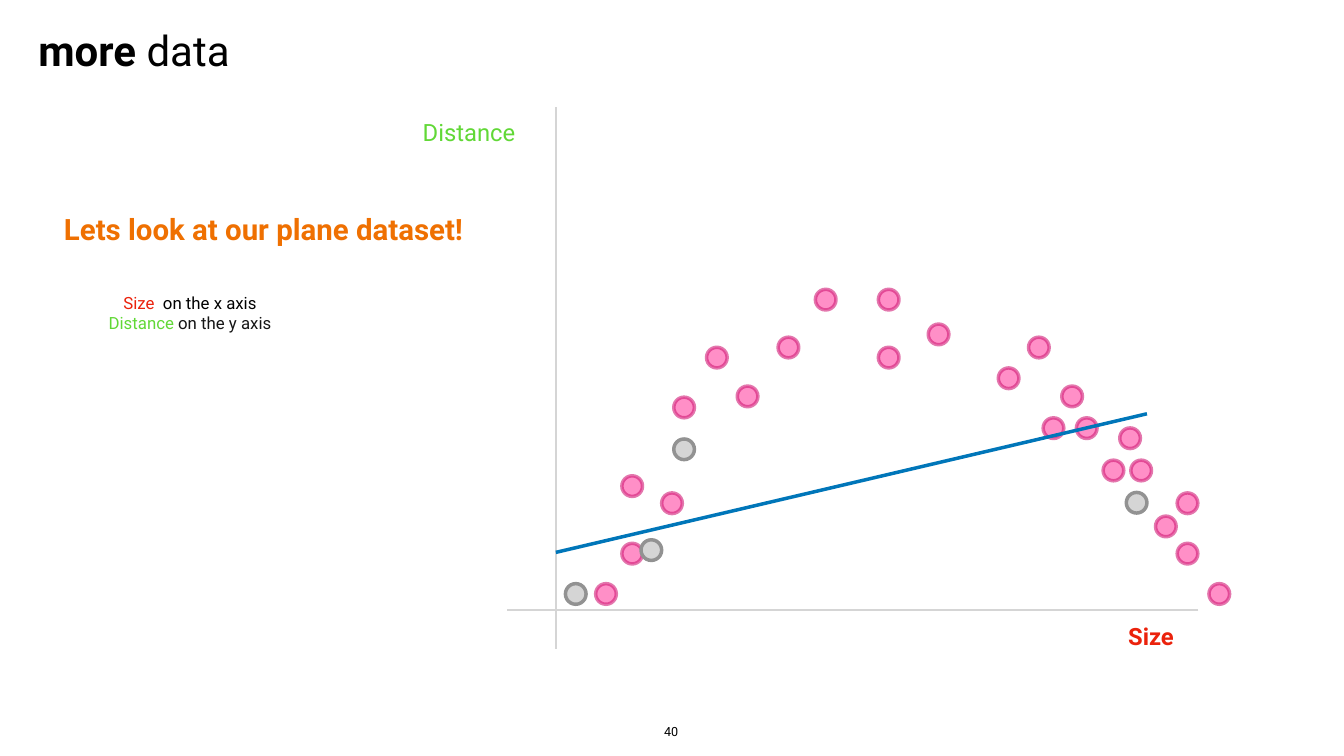
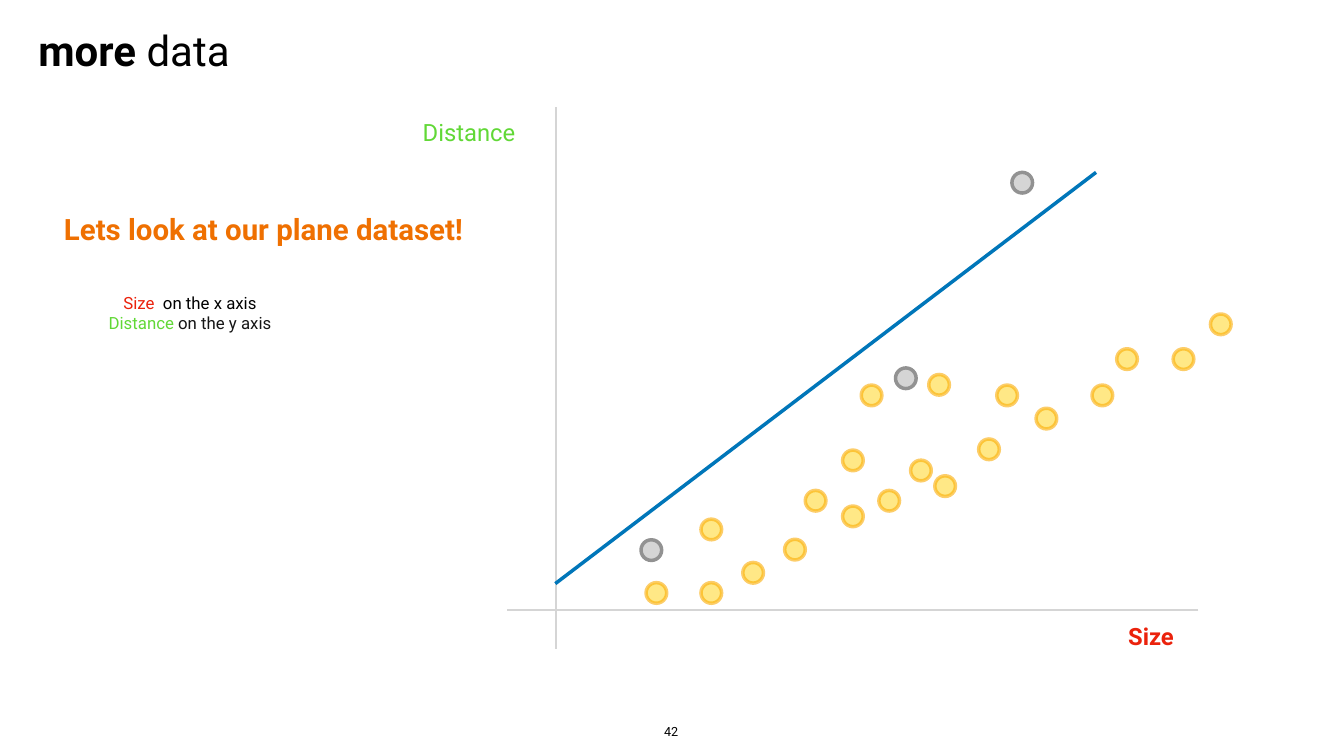
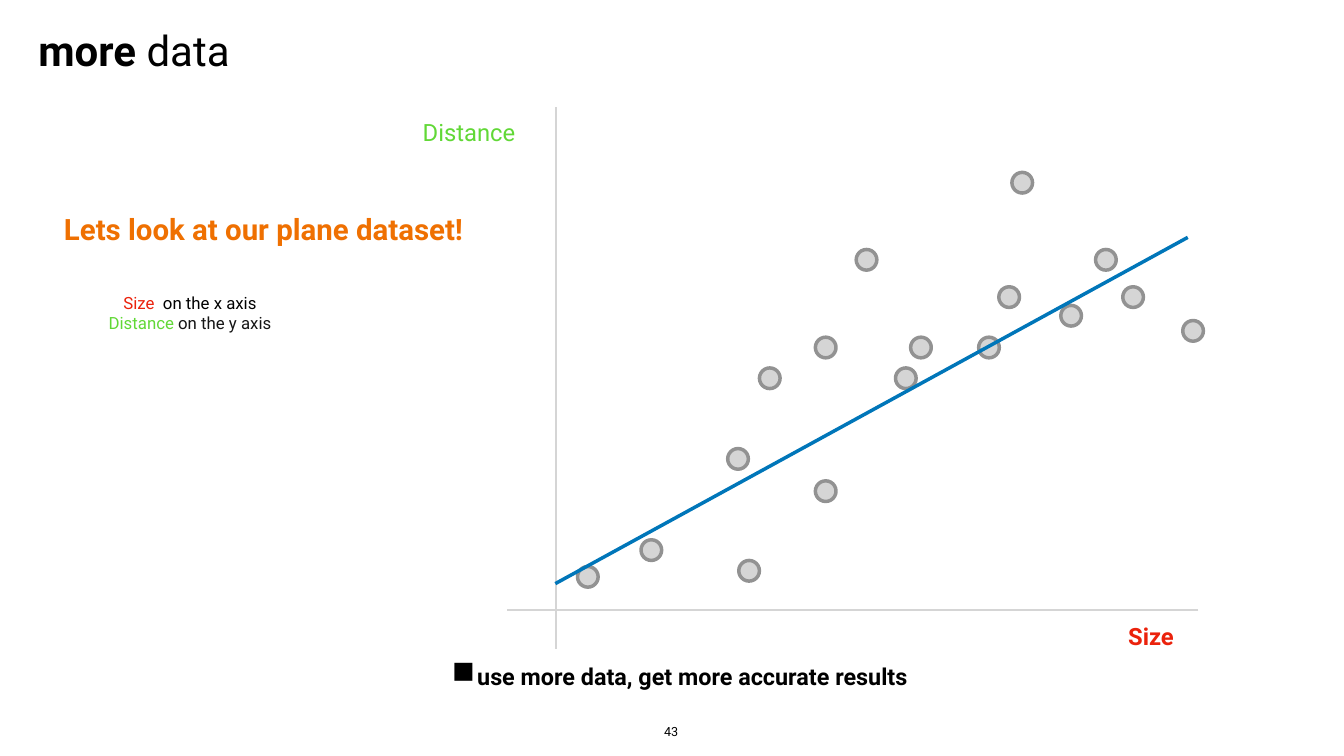
"""Build three slides that fit a line to plane size against distance."""
from lxml import etree
from pptx import Presentation
from pptx import util as u
from pptx.dml.color import RGBColor
from pptx.enum import shapes, text
from pptx.oxml.ns import qn

BLACK, INK, RED, GREEN = "000000", "151515", "EB220C", "61D836"
ORANGE, BLUE, AXIS_GREY = "EF7001", "0076B9", "D5D5D5"
GREY_DOT = (AXIS_GREY, "929292", 100)
PINK_DOT = ("FF42A1", "D11875", 59)
YELLOW_DOT = ("FFD932", "FBAB01", 59)
FONT = "Roboto"
DOT_SIZE = 0.41
LEFT, CENTER = text.PP_ALIGN.LEFT, text.PP_ALIGN.CENTER
TOP, MIDDLE, BOTTOM = text.MSO_ANCHOR.TOP, text.MSO_ANCHOR.MIDDLE, text.MSO_ANCHOR.BOTTOM


def rgb(value):
    return RGBColor.from_string(value)


class Deck:
    def __init__(self):
        self.prs = Presentation()
        self.prs.slide_width, self.prs.slide_height = u.Inches(26.67), u.Inches(15)
        self.slide = None

    def new_slide(self):
        self.slide = self.prs.slides.add_slide(self.prs.slide_layouts[5])
        background = self.slide.background.fill
        background.solid()
        background.fore_color.rgb = rgb("FFFFFF")

    def fill_text(self, frame, paragraphs, size, align=CENTER, anchor=TOP,
                  margin=0.1, wrap=True, bullet=None, spacing=None):
        frame.auto_size = text.MSO_AUTO_SIZE.NONE
        frame.word_wrap, frame.vertical_anchor = wrap, anchor
        frame.margin_left = frame.margin_right = u.Inches(margin)
        frame.margin_top = frame.margin_bottom = u.Inches(margin)
        for i, pieces in enumerate(paragraphs):
            paragraph = frame.add_paragraph() if i else frame.paragraphs[0]
            if bullet:
                self.add_bullet(paragraph, bullet)
            paragraph.alignment = align
            if spacing:
                paragraph.line_spacing = spacing
            for words, color, bold in pieces:
                run = paragraph.add_run()
                run.text = words
                run.font.name, run.font.size = FONT, u.Pt(size)
                run.font.bold, run.font.color.rgb = bold, rgb(color)

    def add_bullet(self, paragraph, symbol):
        properties = paragraph._p.get_or_add_pPr()
        properties.set("marL", str(u.Inches(0.5)))
        properties.set("indent", str(-u.Inches(0.5)))
        color = etree.SubElement(properties, qn("a:buClr"))
        etree.SubElement(color, qn("a:srgbClr"), val=BLACK)
        etree.SubElement(properties, qn("a:buSzPct"), val="133000")
        etree.SubElement(properties, qn("a:buChar"), char=symbol)

    def title(self, pieces):
        title = self.slide.shapes.title
        title.left, title.top = u.Inches(0.47), u.Inches(0.46)
        title.width, title.height = u.Inches(4.38), u.Inches(0.84)
        self.fill_text(title.text_frame, [pieces], 60, anchor=MIDDLE, margin=0.06, spacing=1.2)

    def label(self, box, paragraphs, size, **style):
        label = self.slide.shapes.add_textbox(*map(u.Inches, box))
        self.fill_text(label.text_frame, paragraphs, size, **style)

    def line(self, start, end, color, width):
        line = self.slide.shapes.add_connector(
            shapes.MSO_CONNECTOR.STRAIGHT, *map(u.Inches, start + end))
        line.line.color.rgb, line.line.width = rgb(color), u.Pt(width)
        etree.SubElement(line.element.spPr, qn("a:effectLst"))

    def dots(self, positions, style):
        fill, outline, opacity = style
        for left, top in positions:
            dot = self.slide.shapes.add_shape(
                shapes.MSO_SHAPE.OVAL, *map(u.Inches, (left, top, DOT_SIZE, DOT_SIZE)))
            dot.shadow.inherit = False
            dot.fill.solid()
            dot.fill.fore_color.rgb = rgb(fill)
            dot.line.color.rgb, dot.line.width = rgb(outline), u.Pt(5)
            if opacity < 100:
                for color in dot.element.spPr.iter(qn("a:srgbClr")):
                    etree.SubElement(color, qn("a:alpha"), val=str(opacity * 1000))

    def plot_slide(self, number, added, added_style, planes, fit_start, fit_end):
        self.new_slide()
        self.title([("more", BLACK, True), (" data", BLACK, False)])
        self.dots(added, added_style)
        self.line((11.03, 12.87), (11.03, 2.13), AXIS_GREY, 3)
        self.line((23.78, 12.1), (10.06, 12.1), AXIS_GREY, 3)
        self.dots(planes, GREY_DOT)
        self.line(fit_start, fit_end, BLUE, 5)
        self.label((-0.48, 4.13, 11.42, 0.82),
                   [[("Lets look at our plane dataset!", ORANGE, True)]],
                   42, anchor=MIDDLE, margin=0.06)
        self.label((1.37, 5.71, 4.8, 1.01),
                   [[("Size ", RED, False), (" on the x axis", BLACK, False)],
                    [("Distance ", GREEN, False), ("on the y axis", INK, False)]], 24)
        self.label((21.2, 12.23, 3.28, 0.77), [[("Size", RED, True)]], 34)
        self.label((8.29, 2.24, 2.4, 1.18), [[("Distance", GREEN, False)]], 34, align=LEFT)
        self.label((13.12, 14.31, 0.4, 0.42), [[(str(number), BLACK, False)]], 18,
                   anchor=BOTTOM, margin=0.06, wrap=False)


def main():
    deck = Deck()

    curved_planes = [
        (15.44, 6.69), (17.43, 6.89), (14.63, 7.66), (16.18, 5.74), (14.02, 6.89),
        (13.37, 7.88), (13.13, 9.78), (12.34, 9.44), (12.34, 10.78), (11.82, 11.58),
        (17.43, 5.74), (18.42, 6.43), (19.81, 7.3), (20.41, 6.69), (21.07, 7.66),
        (20.7, 8.29), (21.36, 8.29), (21.89, 9.13), (22.44, 9.13), (22.22, 8.49),
        (22.93, 10.24), (23.36, 10.78), (23.99, 11.58), (23.36, 9.78)]
    deck.plot_slide(40, curved_planes, PINK_DOT,
                    [(11.22, 11.58), (13.37, 8.71), (12.72, 10.71), (22.35, 9.77)],
                    (11.03, 10.96), (22.76, 8.21))

    lower_planes = [
        (20.56, 8.1), (19.78, 7.64), (21.67, 7.64), (18.07, 9.13), (18.55, 9.44),
        (22.16, 6.92), (17.44, 9.73), (15.98, 9.73), (15.57, 10.7), (14.74, 11.16),
        (16.72, 8.93), (13.91, 11.56), (12.82, 11.56), (16.72, 10.04), (23.28, 6.92),
        (19.42, 8.71), (24.02, 6.23), (13.91, 10.3), (17.09, 7.64), (18.43, 7.43)]
    first_planes = [(12.72, 10.71), (20.08, 3.42), (17.77, 7.3)]
    deck.plot_slide(42, lower_planes, YELLOW_DOT, first_planes,
                    (11.02, 11.58), (21.75, 3.42))

    more_planes = [
        (14.44, 8.9), (16.99, 4.95), (19.42, 6.69), (15.07, 7.3), (16.18, 6.69),
        (18.07, 6.69), (19.82, 5.69), (21.05, 6.06), (22.28, 5.69), (23.47, 6.36),
        (21.74, 4.95), (16.18, 9.54), (14.66, 11.12), (11.46, 11.24)]
    deck.plot_slide(43, more_planes, GREY_DOT, first_planes,
                    (11.02, 11.58), (23.57, 4.71))
    deck.label((8.91, 13.07, 10.23, 0.71),
               [[("use more data, get more accurate results", BLACK, True)]],
               33.4, align=LEFT, margin=0.06, bullet="■")

    deck.prs.save("out.pptx")


if __name__ == "__main__":
    main()
